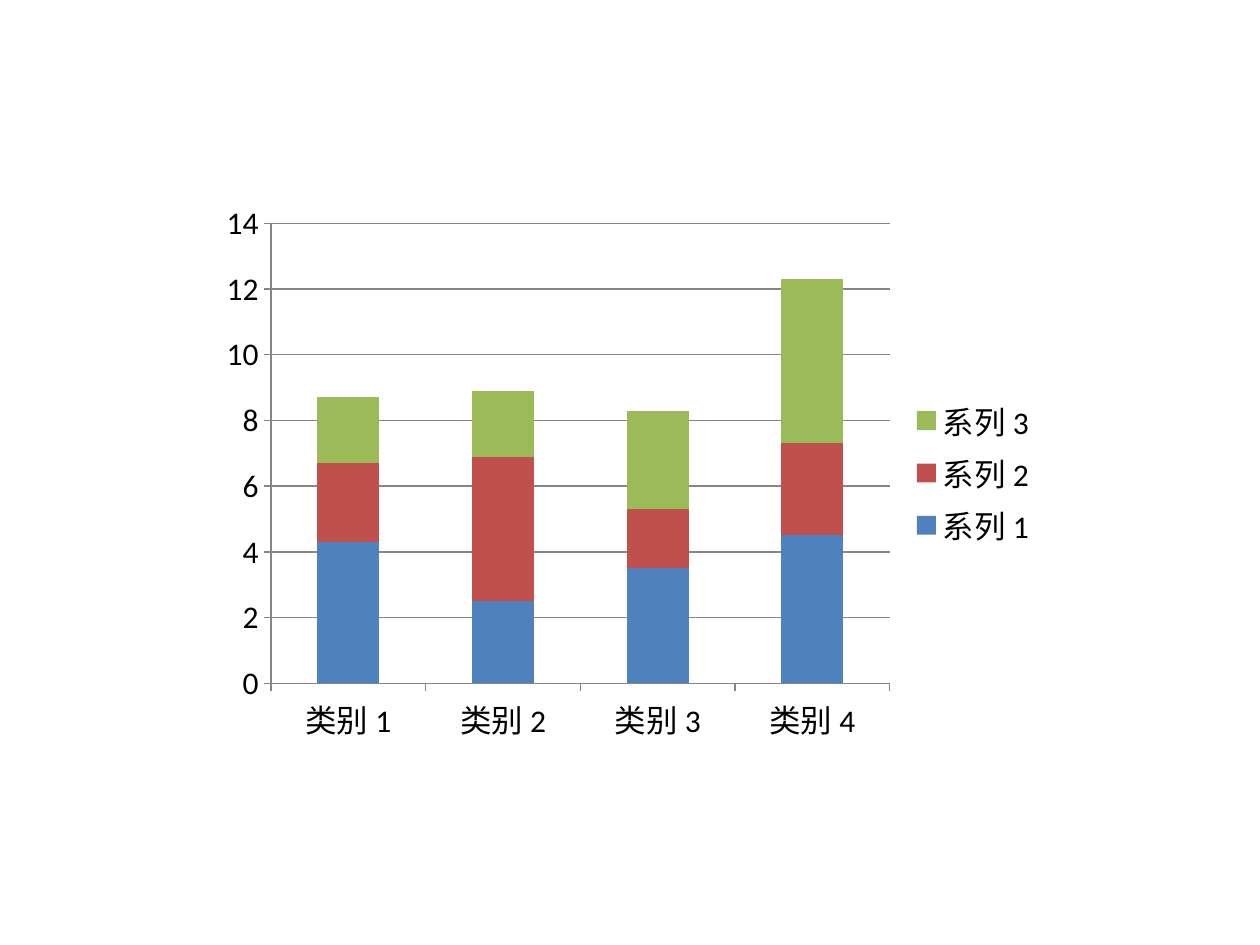
from pptx import Presentation
from pptx.chart.data import CategoryChartData
from pptx.dml.color import RGBColor
from pptx.enum.chart import XL_CHART_TYPE, XL_LEGEND_POSITION, XL_TICK_MARK
from pptx.util import Cm, Pt

COLUMN_STACKED = XL_CHART_TYPE.COLUMN_STACKED
LEGEND_RIGHT = XL_LEGEND_POSITION.RIGHT
TICK_OUTSIDE = XL_TICK_MARK.OUTSIDE

BLACK = RGBColor(0x00, 0x00, 0x00)
GRAY = RGBColor(0x86, 0x86, 0x86)
BLUE = RGBColor(0x4F, 0x81, 0xBD)
RED = RGBColor(0xC0, 0x50, 0x4D)
GREEN = RGBColor(0x9B, 0xBB, 0x59)

CATEGORIES = ["类别 1", "类别 2", "类别 3", "类别 4"]
SERIES = [
    ("系列 1", (4.3, 2.5, 3.5, 4.5), BLUE),
    ("系列 2", (2.4, 4.4, 1.8, 2.8), RED),
    ("系列 3", (2, 2, 3, 5), GREEN),
]

prs = Presentation()
prs.slide_width, prs.slide_height = Cm(25.4), Cm(19.05)
s = prs.slides.add_slide(prs.slide_layouts[6])

data = CategoryChartData()
data.categories = CATEGORIES
for name, values, _ in SERIES:
    data.add_series(name, values)

chart = s.shapes.add_chart(
    COLUMN_STACKED, Cm(4.23), Cm(3.89), Cm(16.93), Cm(11.29), data
).chart
chart.has_title = False
chart.font.name = "Calibri"
chart.font.size = Pt(18)
chart.font.color.rgb = BLACK

chart.has_legend = True
chart.legend.position = LEGEND_RIGHT
chart.legend.include_in_layout = False

plot = chart.plots[0]
plot.gap_width = 150
plot.overlap = 100
plot.vary_by_categories = False
for series, (_, _, color) in zip(plot.series, SERIES):
    series.format.fill.solid()
    series.format.fill.fore_color.rgb = color

value_axis = chart.value_axis
value_axis.has_major_gridlines = True
for axis in (chart.category_axis, value_axis):
    axis.major_tick_mark = TICK_OUTSIDE
for part in (chart.category_axis, value_axis, value_axis.major_gridlines):
    part.format.line.color.rgb = GRAY
    part.format.line.width = Pt(0.75)

prs.save("out.pptx")
